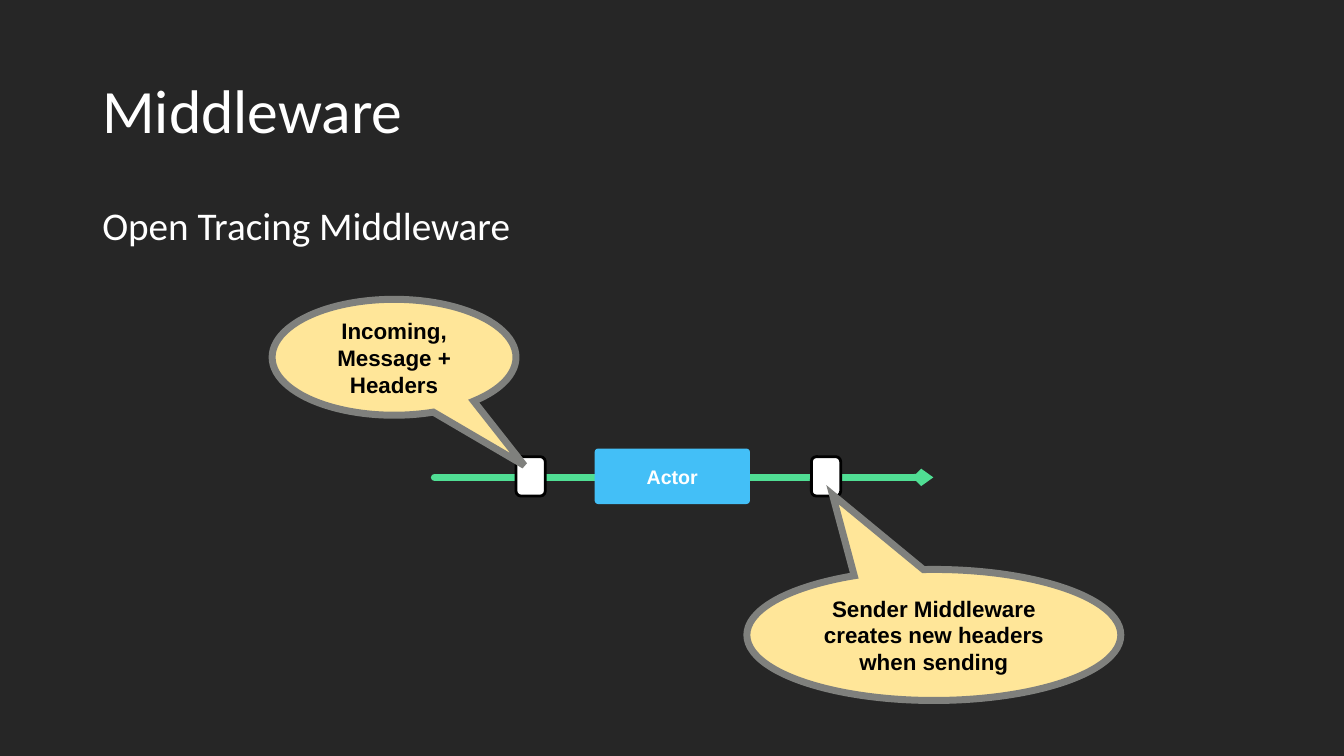
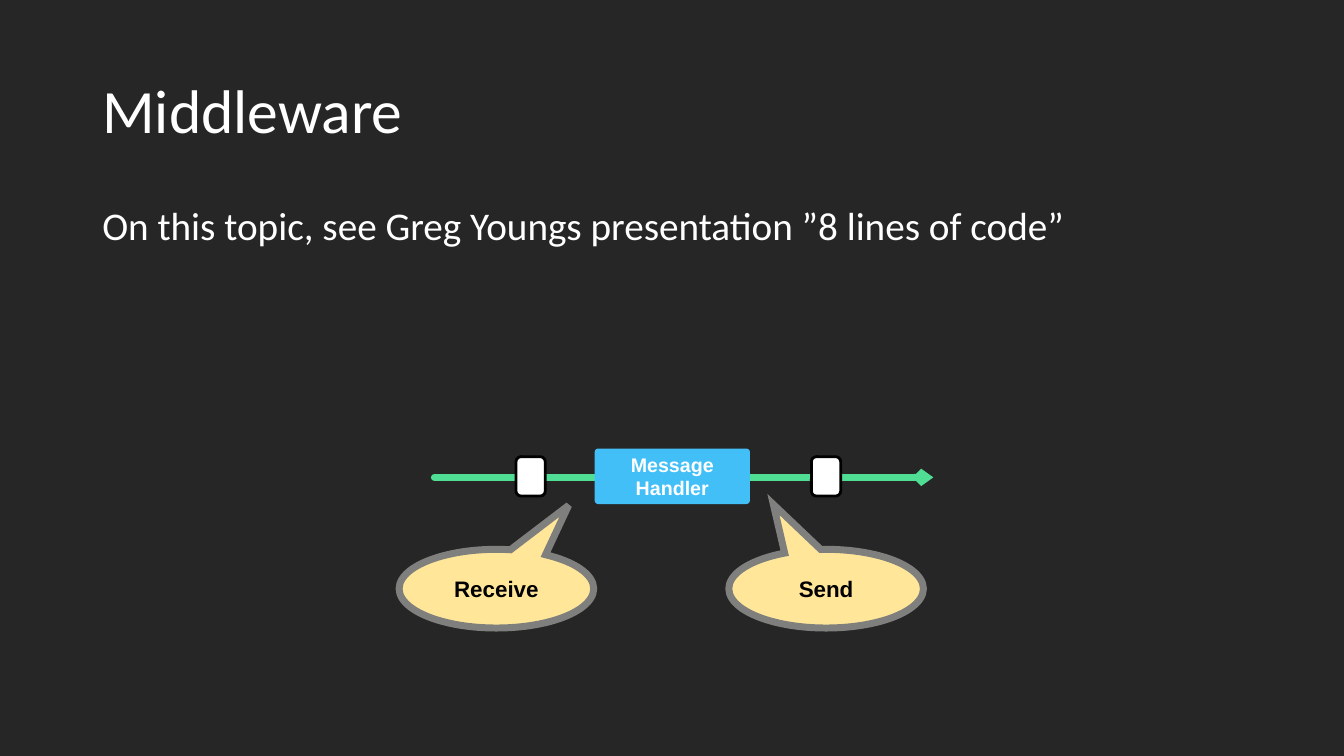
from dataclasses import dataclass

from lxml import etree
from pptx import Presentation
from pptx.dml.color import RGBColor
from pptx.enum import shapes, text
from pptx.oxml.ns import qn
from pptx.util import Pt

# Shared style
BACKGROUND, WHITE, BLACK = "262626", "FFFFFF", "000000"
GREEN, BLUE, YELLOW, GREY = "50DE94", "43BFF7", "FFE699", "7F807D"
HEADING_FONT, LABEL_FONT = "Calibri", "Arial"
MARGIN, CONTENT_WIDTH = 66, 828
AXIS_Y = 341  # height of the message flow


@dataclass(frozen=True)
class Box:
    left: float
    top: float
    width: float
    height: float

    def lengths(self) -> tuple:
        return Pt(self.left), Pt(self.top), Pt(self.width), Pt(self.height)


@dataclass(frozen=True)
class Callout:
    label: str
    box: Box
    tip: tuple[float, float]


@dataclass(frozen=True)
class FlowSlide:
    body: str
    actor: str
    callouts: tuple[Callout, ...]


TITLE_BOX = Box(MARGIN, 28.8, CONTENT_WIDTH, 104.4)
BODY_BOX = Box(MARGIN, 144, CONTENT_WIDTH, 342.7)
ACTOR_BOX = Box(424.8, 320.4, 110.9, 39.6)
MIDDLEWARE_LEFTS = (368.6, 579.6)
FLOW_START, FLOW_END = 310.3, 666.7
SEND_TIP = (-0.271, -1.071)

SLIDES = (
    FlowSlide("Open Tracing Middleware", "Actor", (
        Callout("Incoming, Message + Headers", Box(194.4, 213.8, 174.2, 82.8),
                (0.534, 0.933)),
        Callout("Sender Middleware creates new headers when sending",
                Box(533.5, 406.8, 267.1, 93.6), SEND_TIP),
    )),
    FlowSlide("On this topic, see Greg Youngs presentation ”8 lines of code”",
              "Message Handler", (
        Callout("Receive", Box(285.1, 392.4, 139, 56.2), (0.371, -1.059)),
        Callout("Send", Box(520.6, 392.4, 139, 56.2), SEND_TIP),
    )),
)


def rgb(value: str) -> RGBColor:
    return RGBColor.from_string(value)


def add_heading(slide, content: str, box: Box, size: float, anchor) -> None:
    tf = slide.shapes.add_textbox(*box.lengths()).text_frame
    tf.word_wrap = True
    tf.vertical_anchor = anchor
    p = tf.paragraphs[0]
    p.text = content
    p.line_spacing = 0.9
    p.font.name, p.font.size = HEADING_FONT, Pt(size)
    p.font.color.rgb = rgb(WHITE)


def add_shape(slide, kind, box: Box, fill: str, line: str = "",
              line_width: float = 0, adjustments: tuple = ()):
    sp = slide.shapes.add_shape(kind, *box.lengths())
    sp.shadow.inherit = False
    for i, value in enumerate(adjustments):
        sp.adjustments[i] = value
    sp.fill.solid()
    sp.fill.fore_color.rgb = rgb(fill)
    if line:
        sp.line.color.rgb = rgb(line)
        sp.line.width = Pt(line_width)
    else:
        sp.line.fill.background()
    return sp


def add_label(sp, content: str, size: float, color: str) -> None:
    tf = sp.text_frame
    tf.word_wrap = True
    tf.vertical_anchor = text.MSO_ANCHOR.MIDDLE
    p = tf.paragraphs[0]
    p.text = content
    p.alignment = text.PP_ALIGN.CENTER
    p.font.name, p.font.size, p.font.bold = LABEL_FONT, Pt(size), True
    p.font.color.rgb = rgb(color)


def add_flow_line(slide, start: float, end: float, arrow: bool = False) -> None:
    line = slide.shapes.add_connector(
        shapes.MSO_CONNECTOR.STRAIGHT, Pt(start), Pt(AXIS_Y), Pt(end), Pt(AXIS_Y))
    line.line.color.rgb = rgb(GREEN)
    line.line.width = Pt(5)
    ln = line.line._get_or_add_ln()
    ln.set("cap", "rnd")
    etree.SubElement(ln, qn("a:round"))
    if arrow:
        etree.SubElement(ln, qn("a:tailEnd"), type="arrow", w="sm", len="sm")
    etree.SubElement(line._element.spPr, qn("a:effectLst"))


def add_callout(slide, callout: Callout) -> None:
    sp = add_shape(slide, shapes.MSO_SHAPE.OVAL_CALLOUT, callout.box,
                   YELLOW, GREY, 5, callout.tip)
    etree.SubElement(sp.line._get_or_add_ln(), qn("a:miter"), lim="800000")
    add_label(sp, callout.label, 16, BLACK)


def add_flow_slide(prs, content: FlowSlide) -> None:
    slide = prs.slides.add_slide(prs.slide_layouts[6])
    add_heading(slide, "Middleware", TITLE_BOX, 44, text.MSO_ANCHOR.MIDDLE)
    add_heading(slide, content.body, BODY_BOX, 28, text.MSO_ANCHOR.TOP)

    # Message flow through the actor
    rounded = shapes.MSO_SHAPE.ROUNDED_RECTANGLE
    add_flow_line(slide, ACTOR_BOX.left + ACTOR_BOX.width, FLOW_END, arrow=True)
    add_flow_line(slide, FLOW_START, ACTOR_BOX.left)
    for left in MIDDLEWARE_LEFTS:
        add_shape(slide, rounded, Box(left, 326.2, 20.9, 28.1), WHITE, BLACK, 2)
    actor = add_shape(slide, rounded, ACTOR_BOX, BLUE, adjustments=(0.062,))
    add_label(actor, content.actor, 14, WHITE)

    # Explanations
    for callout in content.callouts:
        add_callout(slide, callout)


def main() -> None:
    prs = Presentation()
    prs.slide_width, prs.slide_height = Pt(960), Pt(540)
    fill = prs.slide_master.background.fill
    fill.solid()
    fill.fore_color.rgb = rgb(BACKGROUND)
    for content in SLIDES:
        add_flow_slide(prs, content)
    prs.save("out.pptx")


if __name__ == "__main__":
    main()
